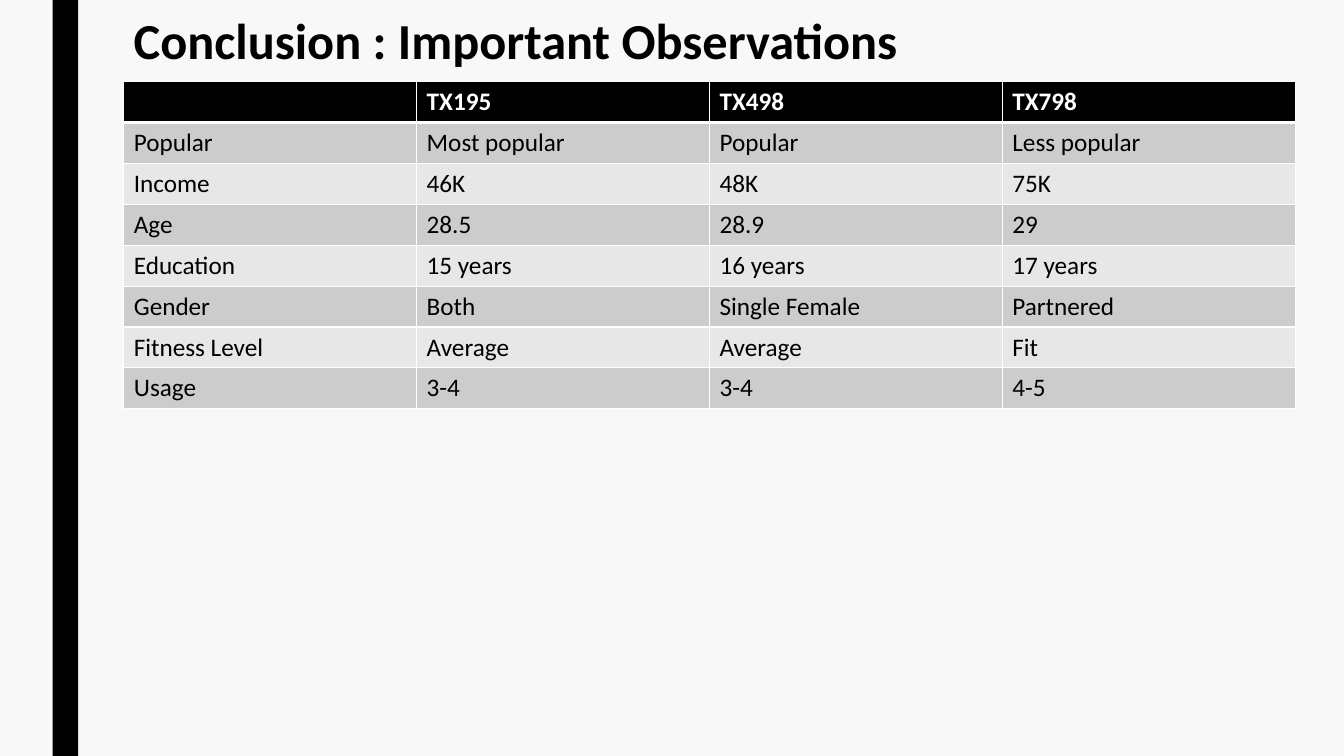
from dataclasses import dataclass

from lxml.etree import SubElement
from pptx import Presentation
from pptx.dml.color import RGBColor
from pptx.enum.shapes import MSO_SHAPE
from pptx.enum.text import MSO_ANCHOR
from pptx.oxml.ns import qn
from pptx.slide import Slide
from pptx.table import _Cell
from pptx.text.text import _Paragraph
from pptx.util import Cm, Pt


@dataclass(frozen=True)
class Theme:
    font: str = "Calibri"
    background: str = "F8F8F8"
    dark: str = "000000"
    light: str = "FFFFFF"
    bands: tuple[str, str] = ("CCCCCC", "E7E7E7")
    title_size: int = 36
    body_size: int = 18
    thin_line: int = 1
    thick_line: int = 3


@dataclass(frozen=True)
class Observation:
    label: str
    values: tuple[str, str, str]


THEME = Theme()
PAGE_WIDTH, PAGE_HEIGHT = Cm(33.87), Cm(19.05)
TABLE_LEFT, TABLE_TOP = Cm(3.12), Cm(2.06)
COLUMN_WIDTH, ROW_HEIGHT = Cm(7.38), Cm(1.03)

OBSERVATIONS = [
    Observation("", ("TX195", "TX498", "TX798")),
    Observation("Popular", ("Most popular", "Popular", "Less popular")),
    Observation("Income", ("46K", "48K", "75K")),
    Observation("Age", ("28.5", "28.9", "29")),
    Observation("Education", ("15 years", "16 years", "17 years")),
    Observation("Gender", ("Both", "Single Female", "Partnered")),
    Observation("Fitness Level", ("Average", "Average", "Fit")),
    Observation("Usage", ("3-4", "3-4", "4-5")),
]


def write(para: _Paragraph, text: str, size: int, color: str, bold: bool) -> None:
    span = para.add_run()
    span.text = text
    formats = {"name": THEME.font, "size": Pt(size), "bold": bold}
    for name, value in formats.items():
        setattr(span.font, name, value)
    span.font.color.rgb = RGBColor.from_string(color)


def draw_borders(cell: _Cell, top: int, bottom: int) -> None:
    """Outline a cell; call before filling it, as lines precede the fill."""
    properties = cell._tc.get_or_add_tcPr()
    widths = {"a:lnL": THEME.thin_line, "a:lnR": THEME.thin_line,
              "a:lnT": top, "a:lnB": bottom}
    for tag, width in widths.items():
        line = SubElement(properties, qn(tag), w=str(Pt(width)))
        fill = SubElement(line, qn("a:solidFill"))
        SubElement(fill, qn("a:srgbClr"), val=THEME.light)


def draw_side_bar(page: Slide) -> None:
    bar = page.shapes.add_shape(MSO_SHAPE.RECTANGLE, Cm(1.33), 0, Cm(0.64), PAGE_HEIGHT)
    bar.shadow.inherit = False
    bar.fill.solid()
    bar.fill.fore_color.rgb = RGBColor.from_string(THEME.dark)
    bar.line.fill.background()


def draw_title(page: Slide, text: str) -> None:
    box = page.shapes.add_textbox(TABLE_LEFT, Cm(0.28), Cm(29.72), Cm(1.78))
    frame = box.text_frame
    frame.word_wrap = True
    frame.vertical_anchor = MSO_ANCHOR.TOP
    para = frame.paragraphs[0]
    para.line_spacing = 0.89
    write(para, text, THEME.title_size, THEME.dark, True)


def draw_table(page: Slide, observations: list[Observation]) -> None:
    row_count, column_count = len(observations), len(observations[0].values) + 1
    table = page.shapes.add_table(
        row_count, column_count, TABLE_LEFT, TABLE_TOP,
        COLUMN_WIDTH * column_count, ROW_HEIGHT * row_count).table
    for column in table.columns:
        column.width = COLUMN_WIDTH
    for row_index, observation in enumerate(observations):
        table.rows[row_index].height = ROW_HEIGHT
        header = row_index == 0
        fill = THEME.dark if header else THEME.bands[(row_index - 1) % 2]
        color = THEME.light if header else THEME.dark
        top = THEME.thick_line if row_index == 1 else THEME.thin_line
        bottom = THEME.thick_line if header else THEME.thin_line
        for column_index, text in enumerate((observation.label, *observation.values)):
            cell = table.cell(row_index, column_index)
            draw_borders(cell, top, bottom)
            cell.fill.solid()
            cell.fill.fore_color.rgb = RGBColor.from_string(fill)
            if text:
                write(cell.text_frame.paragraphs[0], text, THEME.body_size, color, header)


def main() -> None:
    deck = Presentation()
    deck.slide_width, deck.slide_height = PAGE_WIDTH, PAGE_HEIGHT
    page = deck.slides.add_slide(deck.slide_layouts[6])

    # Background and side bar
    page.background.fill.solid()
    page.background.fill.fore_color.rgb = RGBColor.from_string(THEME.background)
    draw_side_bar(page)

    # Title and comparison table
    draw_title(page, "Conclusion : Important Observations")
    draw_table(page, OBSERVATIONS)

    deck.save("out.pptx")


if __name__ == "__main__":
    main()
